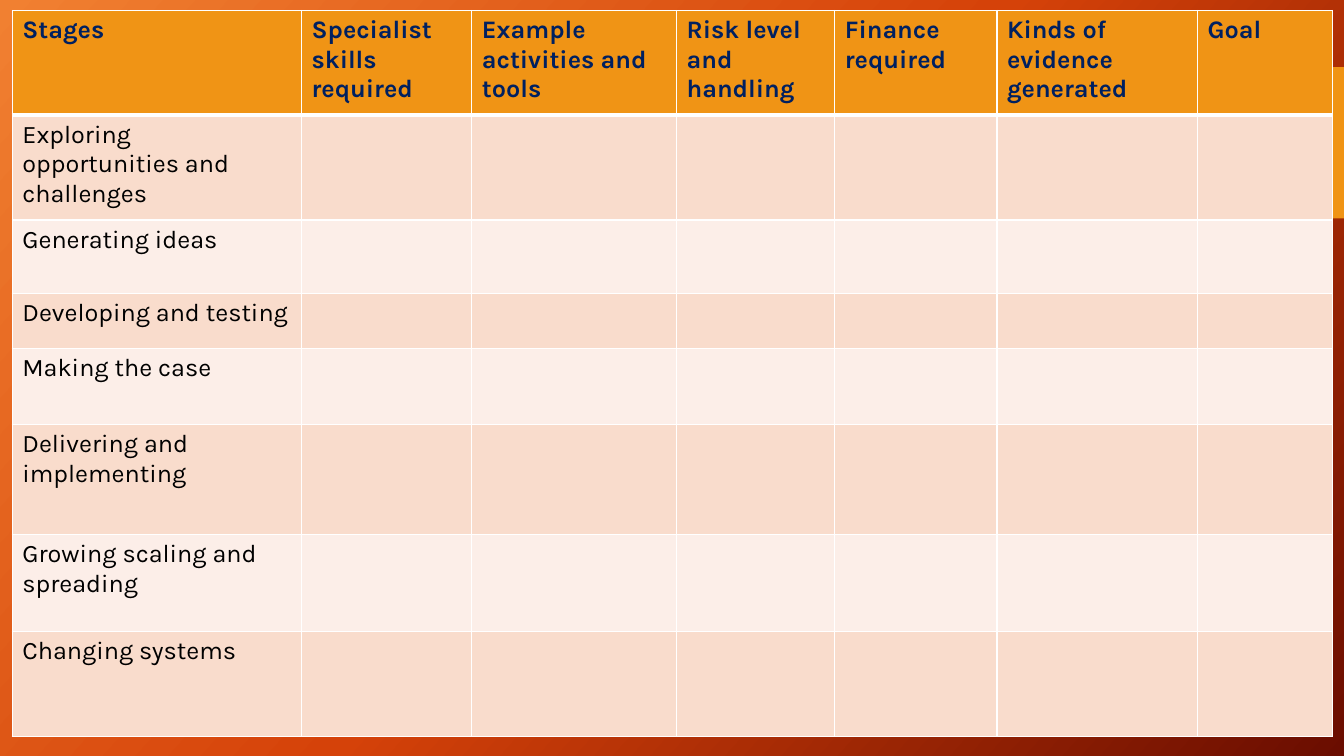
import copy
from dataclasses import dataclass

import pptx
import pptx.dml.color
import pptx.enum.shapes
import pptx.oxml.ns
import pptx.oxml.xmlchemy
import pptx.util
from lxml import etree
from pptx.util import Pt

WHITE = "FFFFFF"
ACCENT = "F09415"
BODY_FILLS = ("F9DCCC", "FCEEE8")


@dataclass
class Column:
    heading: str
    width: float


@dataclass
class Stage:
    name: str
    height: float


COLUMNS = [
    Column("Stages", 206.6),
    Column("Specialist skills required", 121.7),
    Column("Example activities and tools", 146.2),
    Column("Risk level and handling", 113),
    Column("Finance required", 115.9),
    Column("Kinds of evidence generated", 143.3),
    Column("Goal", 96.5),
]
HEADER_HEIGHT = 74.9
STAGES = [
    Stage("Exploring opportunities and challenges", 74.9),
    Stage("Generating ideas", 52.6),
    Stage("Developing and testing", 38.9),
    Stage("Making the case", 54.7),
    Stage("Delivering and implementing", 78.5),
    Stage("Growing scaling and spreading", 69.1),
    Stage("Changing systems", 74.9),
]
HEADER_FONT = {"name": "Karla", "size": Pt(18), "bold": True}
STAGE_FONT = {"name": "Karla", "size": Pt(18), "bold": False}


def rgb(value: str) -> pptx.dml.color.RGBColor:
    return pptx.dml.color.RGBColor.from_string(value)


def add_border(cell, side: str, width: float) -> None:
    qn = pptx.oxml.ns.qn
    properties = cell._tc.get_or_add_tcPr()
    line = etree.SubElement(properties, qn(f"a:ln{side}"), w=str(Pt(width)))
    solid = etree.SubElement(line, qn("a:solidFill"))
    etree.SubElement(solid, qn("a:srgbClr"), val=WHITE)


def format_cell(cell, fill: str, top: float, bottom: float) -> None:
    # Borders come before the fill in the cell properties
    for side, width in {"L": 1, "R": 1, "T": top, "B": bottom}.items():
        add_border(cell, side, width)
    cell.fill.solid()
    cell.fill.fore_color.rgb = rgb(fill)


def write_cell(cell, text: str, font_format: dict, color: str) -> None:
    run = cell.text_frame.paragraphs[0].add_run()
    run.text = text
    for attribute, value in font_format.items():
        setattr(run.font, attribute, value)
    run.font.color.rgb = rgb(color)


def paint_background(slide, colors: list[str], angle: float) -> None:
    fill = slide.background.fill
    fill.gradient()
    fill.gradient_angle = 360 - angle
    stop_list = slide.element.find(".//" + pptx.oxml.ns.qn("a:gsLst"))
    stop_list.append(copy.deepcopy(stop_list[0]))
    for index, (stop, color) in enumerate(zip(fill.gradient_stops, colors)):
        stop.position = index / (len(colors) - 1)
        stop.color.rgb = rgb(color)


def add_side_tab(slide) -> None:
    tab = slide.shapes.add_shape(
        pptx.enum.shapes.MSO_SHAPE.RECTANGLE, Pt(834), Pt(48), Pt(126), Pt(108)
    )
    tab.shadow.inherit = False
    tab.fill.solid()
    tab.fill.fore_color.rgb = rgb(ACCENT)
    tab.line.fill.background()


def add_stage_table(slide) -> None:
    heights = [HEADER_HEIGHT] + [stage.height for stage in STAGES]
    stage_table = slide.shapes.add_table(
        len(heights), len(COLUMNS), Pt(8.8), Pt(7.4),
        Pt(sum(column.width for column in COLUMNS)), Pt(sum(heights)),
    ).table
    for row, height in zip(stage_table.rows, heights):
        row.height = Pt(height)

    # Header row
    for index, column in enumerate(COLUMNS):
        stage_table.columns[index].width = Pt(column.width)
        heading = stage_table.cell(0, index)
        format_cell(heading, ACCENT, top=1, bottom=3)
        write_cell(heading, column.heading, HEADER_FONT, "002060")

    # Stage rows in alternating tints
    for row_index, stage in enumerate(STAGES, start=1):
        fill = BODY_FILLS[(row_index - 1) % 2]
        for cell in stage_table.rows[row_index].cells:
            format_cell(cell, fill, top=3 if row_index == 1 else 1, bottom=1)
        write_cell(stage_table.cell(row_index, 0), stage.name, STAGE_FONT, "000000")


def main() -> None:
    deck = pptx.Presentation()
    deck.slide_width, deck.slide_height = Pt(960), Pt(540)
    slide = deck.slides.add_slide(deck.slide_layouts.get_by_name("Blank"))
    paint_background(slide, ["F18031", "D54209", "6A0D00"], angle=42)
    add_side_tab(slide)
    add_stage_table(slide)
    deck.save("out.pptx")


if __name__ == "__main__":
    main()
